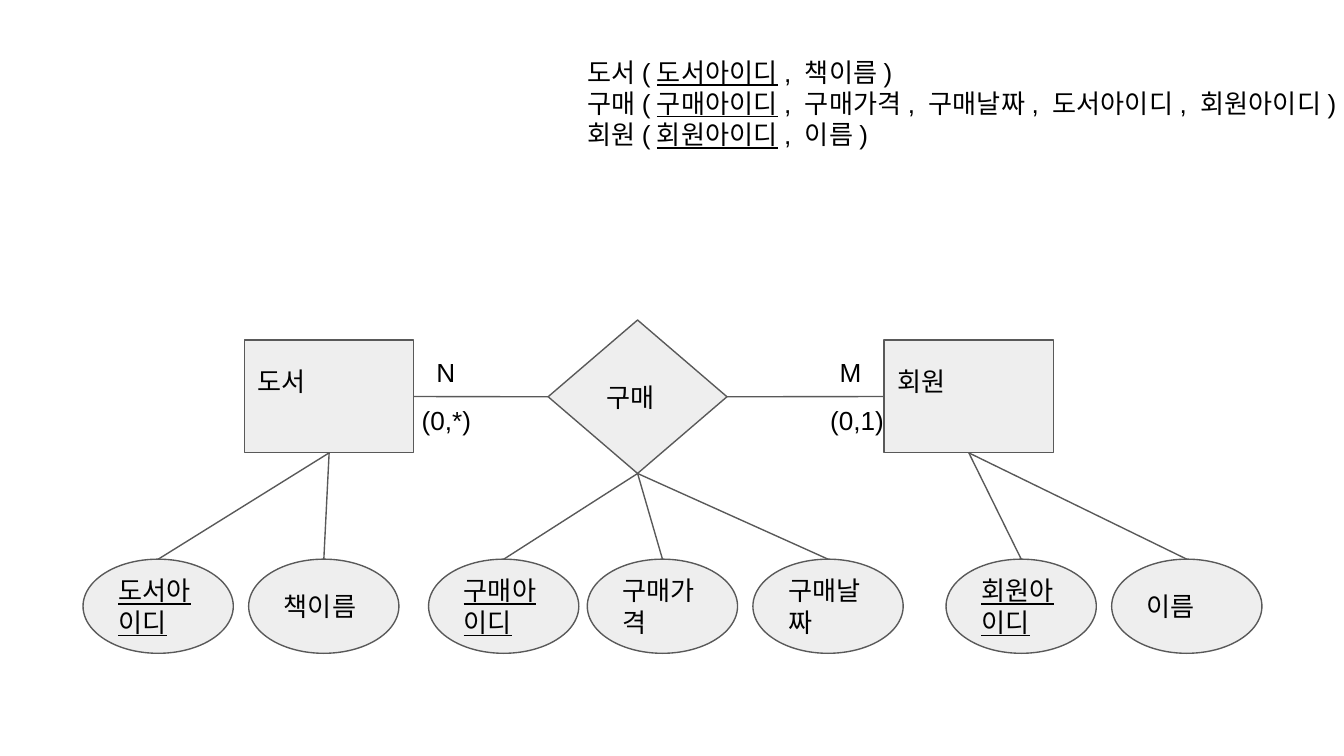
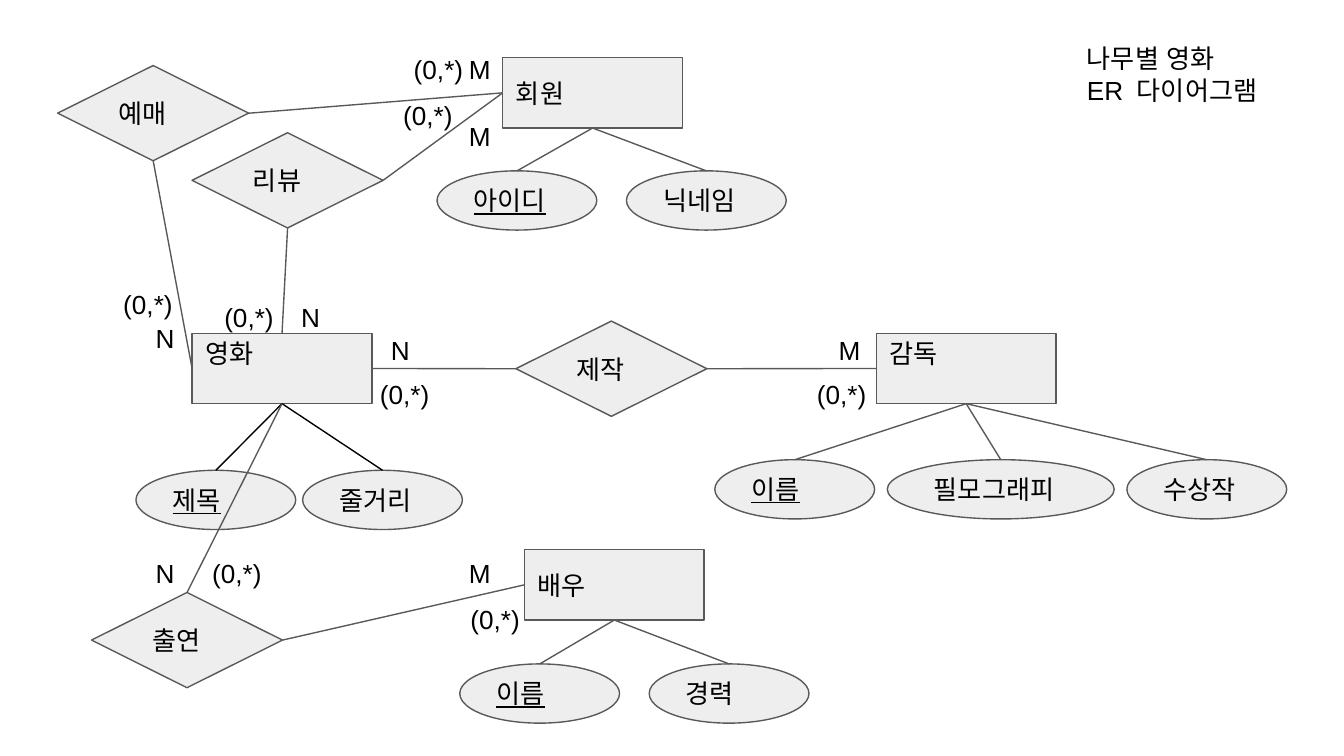
from lxml.etree import SubElement as Sub
from pptx import Presentation
from pptx.dml.color import RGBColor
from pptx.enum.shapes import MSO_CONNECTOR as Conn, MSO_SHAPE as Form
from pptx.enum.text import MSO_ANCHOR as Anchor, MSO_AUTO_SIZE as Fit, PP_ALIGN as Align
from pptx.oxml.ns import qn
from pptx.util import Cm, Pt

# Shared style, lengths in cm
BLACK = RGBColor(0x00, 0x00, 0x00)
GRAY = RGBColor(0x59, 0x59, 0x59)
PALE = RGBColor(0xEE, 0xEE, 0xEE)
FONT = "Arial"
PAD = 0.25
EVEN = (PAD, PAD, PAD, PAD)    # left, top, right, bottom
RAISED = (PAD, 0, PAD, 0.58)   # lifts a name half a line above the middle
LOOSE = (PAD, PAD, 0, PAD)     # lets text run to the right edge
BLANK, TITLED = 6, 5           # layouts
TOP, LEFT, BOTTOM, RIGHT = range(4)  # connection sites
MANY = "(0,*)"


def write(shape, text, size=14, color=BLACK, align=Align.LEFT,
          anchor=Anchor.TOP, pads=EVEN):
    """Fill a shape with text; _words_ between underscores are underlined."""
    frame = shape.text_frame
    frame.word_wrap = True
    frame.auto_size = Fit.NONE
    frame.vertical_anchor = anchor
    (frame.margin_left, frame.margin_top,
     frame.margin_right, frame.margin_bottom) = map(Cm, pads)
    for row, line in enumerate(text.split("\n")):
        para = frame.paragraphs[0] if row == 0 else frame.add_paragraph()
        para.alignment = align
        for part, words in enumerate(line.split("_")):
            if not words:
                continue
            run = para.add_run()
            run.text = words
            font = run.font
            font.name, font.size = FONT, Pt(size)
            font.color.rgb = color
            font.underline = part % 2 == 1
            Sub(font._element, qn("a:ea"), typeface=FONT)


class Board:
    """One ER diagram: its slide and the sizes of its parts."""

    def __init__(self, deck, layout, box, gem, oval, mark, span):
        self.slide = deck.slides.add_slide(deck.slide_layouts[layout])
        self.box_size, self.gem_size, self.oval_size = box, gem, oval
        self.mark_size, self.span_size = mark, span

    def title(self, text, x, y, size):
        head = self.slide.shapes.title
        head.left, head.top, head.width, head.height = map(Cm, (x, y, *size))
        write(head, text)

    def text(self, text, x, y, size):
        area = self.slide.shapes.add_textbox(*map(Cm, (x, y, *size)))
        write(area, text, pads=LOOSE)

    def node(self, form, name, x, y, size, **style):
        shape = self.slide.shapes.add_shape(form, *map(Cm, (x, y, *size)))
        shape.shadow.inherit = False
        shape.fill.solid()
        shape.fill.fore_color.rgb = PALE
        shape.line.color.rgb = GRAY
        shape.line.width = Pt(0.75)
        write(shape, name, anchor=Anchor.MIDDLE, **style)
        return shape

    def box(self, name, x, y, **style):
        """An entity."""
        return self.node(Form.RECTANGLE, name, x, y, self.box_size, **style)

    def gem(self, name, x, y):
        """A relation."""
        return self.node(Form.DIAMOND, name, x, y, self.gem_size)

    def ovals(self, owner, x, y, gap, *names, wide=(), color=GRAY):
        """Attributes in a row from x, each tied to the foot of its owner."""
        plain, high = self.oval_size
        for name in names:
            width = plain * 1.42 if name in wide else plain
            oval = self.node(Form.OVAL, name, x, y, (width, high))
            self.link(owner, BOTTOM, oval, TOP, color)
            x += width + gap

    def link(self, start, out, end, into, color=GRAY):
        line = self.slide.shapes.add_connector(Conn.STRAIGHT, 0, 0, 0, 0)
        line.begin_connect(start, out)
        line.end_connect(end, into)
        line.line.color.rgb = color
        line.line.width = Pt(0.75)
        Sub(line._element.spPr, qn("a:effectLst"))

    def relate(self, box, out, gem, into, mark, spot, place, span=MANY):
        """Tie an entity to a relation: its mark at spot, its span at place."""
        self.link(box, out, gem, into)
        self.text(mark, *spot, self.mark_size)
        self.text(span, *place, self.span_size)


deck = Presentation()
deck.slide_width, deck.slide_height = Cm(25.4), Cm(14.29)

# Slide 1: book purchase
shop = Board(deck, BLANK, box=(3.2, 2.13), gem=(3.38, 2.9), oval=(2.84, 1.78),
             mark=(1.17, 1.4), span=(1.55, 1.4))
row, foot, gap = 6.43, 10.57, 0.29
book = shop.box("도서", 4.62, row, pads=RAISED)
user = shop.box("회원", 16.71, row, pads=RAISED)
buy = shop.gem("구매", 10.36, 6.05)

over, under = 6.48, 7.39  # labels above and below the line
shop.relate(book, RIGHT, buy, LEFT, "N", (8.0, over), (7.72, under))
shop.relate(user, LEFT, buy, RIGHT, "M", (15.62, over), (15.44, under), span="(0,1)")

shop.ovals(book, 1.57, foot, gap, "_도서아이디_", "책이름")
shop.ovals(buy, 8.1, foot, gap, "_구매아이디_")
shop.ovals(buy, 11.1, foot, gap, "구매가격", "구매날짜")
shop.ovals(user, 17.88, foot, gap, "_회원아이디_", "이름")

shop.text("도서(_도서아이디_, 책이름)\n"
          "구매(_구매아이디_, 구매가격, 구매날짜, 도서아이디, 회원아이디)\n"
          "회원(_회원아이디_, 이름)", 10.85, 0.81, (14.55, 2.39))

# Slide 2: film service
site = Board(deck, TITLED, box=(3.4, 1.33), gem=(3.61, 1.8), oval=(3.02, 1.12),
             mark=(1.24, 0.86), span=(1.65, 0.86))
site.title("나무별 영화\nER 다이어그램", 20.29, 0.56, (4.55, 2.39))

# Entities and relations
row = 6.3
film = site.box("영화", 3.63, row, pads=RAISED)
boss = site.box("감독", 16.56, row, pads=RAISED, align=Align.JUSTIFY)
user = site.box("회원", 9.5, 1.09)
star = site.box("배우", 9.91, 10.39)
make = site.gem("제작", 9.75, 6.07)
rate = site.gem("리뷰", 3.63, 2.51)
book = site.gem("예매", 1.09, 1.24)
cast = site.gem("출연", 1.73, 11.2)

# Attributes
site.ovals(film, 2.57, 8.89, 0.13, "_제목_", "줄거리", color=BLACK)
site.ovals(boss, 13.51, 8.69, 0.24, "_이름_", "필모그래피", "수상작", wide=("필모그래피",))
site.ovals(user, 8.26, 3.23, 0.56, "_아이디_", "닉네임")
site.ovals(star, 8.69, 12.55, 0.56, "_이름_", "경력")

# Links with their marks and spans
over, under, low = 6.07, 6.91, 10.29
near, far = 2.69, 8.61  # columns shared by several marks
site.relate(film, RIGHT, make, LEFT, "N", (7.14, over), (6.93, under))
site.relate(boss, LEFT, make, RIGHT, "M", (15.6, over), (15.19, under))
site.relate(film, TOP, rate, BOTTOM, "N", (5.44, 5.44), (3.99, 5.44))
site.relate(user, LEFT, rate, RIGHT, "M", (far, 2.03), (7.37, 1.63))
site.relate(film, LEFT, book, BOTTOM, "N", (near, 5.84), (2.08, 5.21))
site.relate(user, LEFT, book, RIGHT, "M", (far, 0.76), (7.57, 0.76))
site.relate(film, BOTTOM, cast, TOP, "N", (near, low), (3.76, low))
site.relate(star, LEFT, cast, RIGHT, "M", (far, low), (8.64, 11.15))

deck.save("out.pptx")
